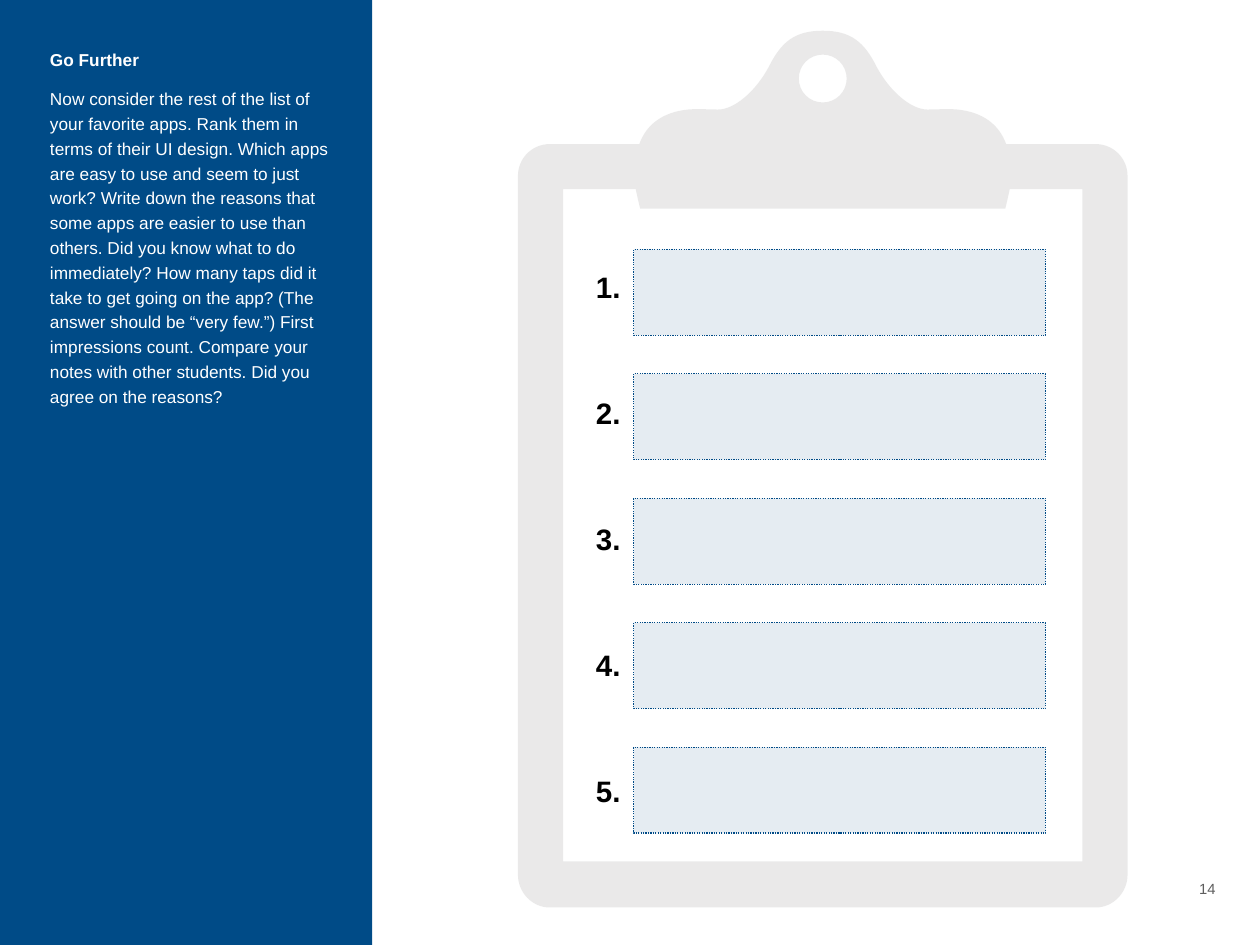
from lxml.etree import SubElement
from pptx import Presentation
from pptx.dml.color import RGBColor
from pptx.enum.dml import MSO_LINE
from pptx.enum.shapes import MSO_SHAPE
from pptx.enum.text import MSO_ANCHOR as Anchor, MSO_AUTO_SIZE as Auto, PP_ALIGN as Align
from pptx.oxml.ns import qn
from pptx.util import Inches, Pt

SIZE = (14.22, 10.67)
BLUE, GREY = "004B87", "D6D5D5"
RIM = [
    [(0, 0)],
    [(.32, 0), (.47, .13), (.61, .41)],
    [(.76, .69), (1, .89), (1.18, .89)],
    [(1.26, .89), (1.43, .88), (1.52, .89)],
    [(1.81, .92), (1.99, 1.06), (2.07, 1.28)],
    [(3.08, 1.28)],
    [(3.28, 1.28), (3.44, 1.44), (3.44, 1.64)],
    [(3.44, 9.53)],
    [(3.44, 9.73), (3.28, 9.9), (3.08, 9.9)],
    [(0, 9.9)],
]
HOLE = [
    [(0, .27)],
    [(.15, .27), (.27, .39), (.27, .54)],
    [(.27, .69), (.15, .81), (0, .81)],
]
PAPER = [
    [(0, 1.79 + .22)], [(2.06, 2.01)],
    [(2.06, 2.01), (2.09, 1.89), (2.11, 1.79)],
    [(2.93, 1.79)], [(2.93, 9.38)], [(0, 9.38)],
]
STORY = (
    "Now consider the rest of the list of your favorite apps. Rank them in terms of "
    "their UI design. Which apps are easy to use and seem to just work? Write down "
    "the reasons that some apps are easier to use than others. Did you know what to "
    "do immediately? How many taps did it take to get going on the app? (The answer "
    "should be “very few.”) First impressions count. Compare your notes with other "
    "students. Did you agree on the reasons?"
)


def color(code):
    """Turn a hex string into a colour."""
    return RGBColor.from_string(code)


def part(box, left, top, width, height):
    """Return the area given in percent of a box."""
    x, y, w, h = box
    return x + w * left / 100, y + h * top / 100, w * width / 100, h * height / 100


def paint(shape, code, alpha=100):
    """Fill a shape without line or shadow."""
    shape.shadow.inherit = False
    shape.fill.solid()
    shape.fill.fore_color.rgb = color(code)
    if alpha < 100:
        tone = shape.fill._xPr.find(".//" + qn("a:srgbClr"))
        SubElement(tone, qn("a:alpha")).set("val", str(alpha * 1000))
    shape.line.fill.background()


def block(slide, box, code, alpha=100):
    """Add a filled rectangle."""
    shape = slide.shapes.add_shape(MSO_SHAPE.RECTANGLE, *map(Inches, box))
    paint(shape, code, alpha)
    return shape


def write(slide, box, *lines, size=14, ink="FFFFFF", bold=1, inset=.06, wrap=False,
          anchor=Anchor.TOP, align=Align.LEFT, space=1, before=0):
    """Add a text box whose first `bold` lines are bold."""
    frame = slide.shapes.add_textbox(*map(Inches, box)).text_frame
    frame.margin_left = frame.margin_right = Inches(inset)
    frame.margin_top = frame.margin_bottom = Inches(inset)
    frame.word_wrap, frame.vertical_anchor = wrap, anchor
    frame.auto_size = Auto.SHAPE_TO_FIT_TEXT
    for i, line in enumerate(lines):
        para = frame.add_paragraph() if i else frame.paragraphs[0]
        para.alignment, para.line_spacing = align, space
        if i:
            para.space_before = Pt(before)
        run = para.add_run()
        run.text = line
        run.font.name, run.font.size, run.font.bold = "Arial", Pt(size), i < bold
        run.font.color.rgb = color(ink)


def mirror(half):
    """Complete a right half with its left half; return points and segment lengths."""
    dots = [dot for seg in half for dot in seg]
    sizes = [len(seg) for seg in half[1:]]
    return dots + [(-x, y) for x, y in dots[-2::-1]], sizes + sizes[::-1]


def bend(shape, sizes):
    """Join each run of three outline points into one cubic curve."""
    lines = iter(list(shape._element.iter(qn("a:lnTo"))))
    for size in sizes:
        first = next(lines)
        if size == 3:
            first.tag = qn("a:cubicBezTo")
            for other in (next(lines), next(lines)):
                first.append(other[0])
                other.getparent().remove(other)


def panel(slide, box):
    """Draw the blue side panel with its text."""
    block(slide, box, BLUE)
    write(slide, part(box, 13.43, 8.46, 78.57, 34.58), "Go Further", STORY, inset=0,
          wrap=True, anchor=Anchor.BOTTOM, space=1.2, before=12)


def board(slide, box):
    """Draw the clipboard with its hole and paper cut out."""
    left, top, width, height = box
    scale = height / 9.9
    pen, sizes = None, []
    for half in (RIM, HOLE, PAPER):
        dots, kinds = mirror(half)
        spots = [(Inches(left + width / 2 + x * scale), Inches(top + y * scale))
                 for x, y in dots]
        if pen:
            pen.move_to(*spots[0])
        else:
            pen = slide.shapes.build_freeform(*spots[0])
        pen.add_line_segments(spots[1:], close=True)
        sizes += kinds
    shape = pen.convert_to_shape()
    bend(shape, sizes)
    paint(shape, GREY, 50)


def ranks(slide, box, count=5):
    """Place the numbered answer fields in equal rows."""
    high = 14.72
    step = (100 - high) / (count - 1)
    for i in range(count):
        write(slide, part(box, -.1, 2.58 + 21.59 * i, 7.8, 7.59), f"{i + 1}.", size=24,
              ink="000000", anchor=Anchor.MIDDLE)
        field = block(slide, part(box, 9.36, step * i, 90.64, high), BLUE, 10)
        field.line.color.rgb = color(BLUE)
        field.line.width = Pt(1)
        field.line.dash_style = MSO_LINE.ROUND_DOT


def main():
    """Build and save the slide."""
    deck = Presentation()
    deck.slide_width, deck.slide_height = map(Inches, SIZE)
    slide = deck.slides.add_slide(deck.slide_layouts[6])
    page = (0, 0, *SIZE)
    clip = part(page, 41.07, 3.25, 48.45, 92.78)
    panel(slide, part(page, 0, 0, 29.54, 100))
    board(slide, clip)
    ranks(slide, part(clip, 12.05, 24.95, 74.46, 66.57))
    write(slide, part(page, 94.73, 92.55, 2.18, 2.81), "14", size=12, ink="5E5E5E",
          bold=0, align=Align.CENTER)
    deck.save("out.pptx")


if __name__ == "__main__":
    main()
